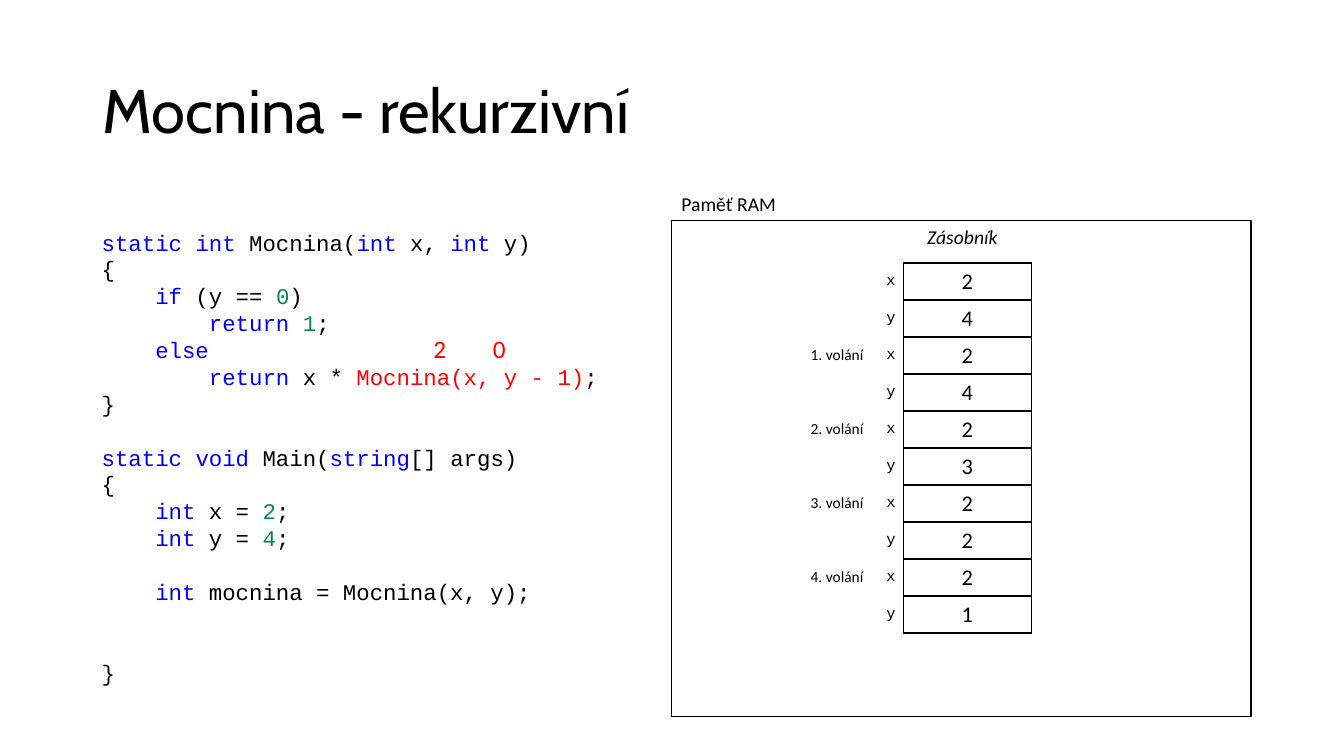
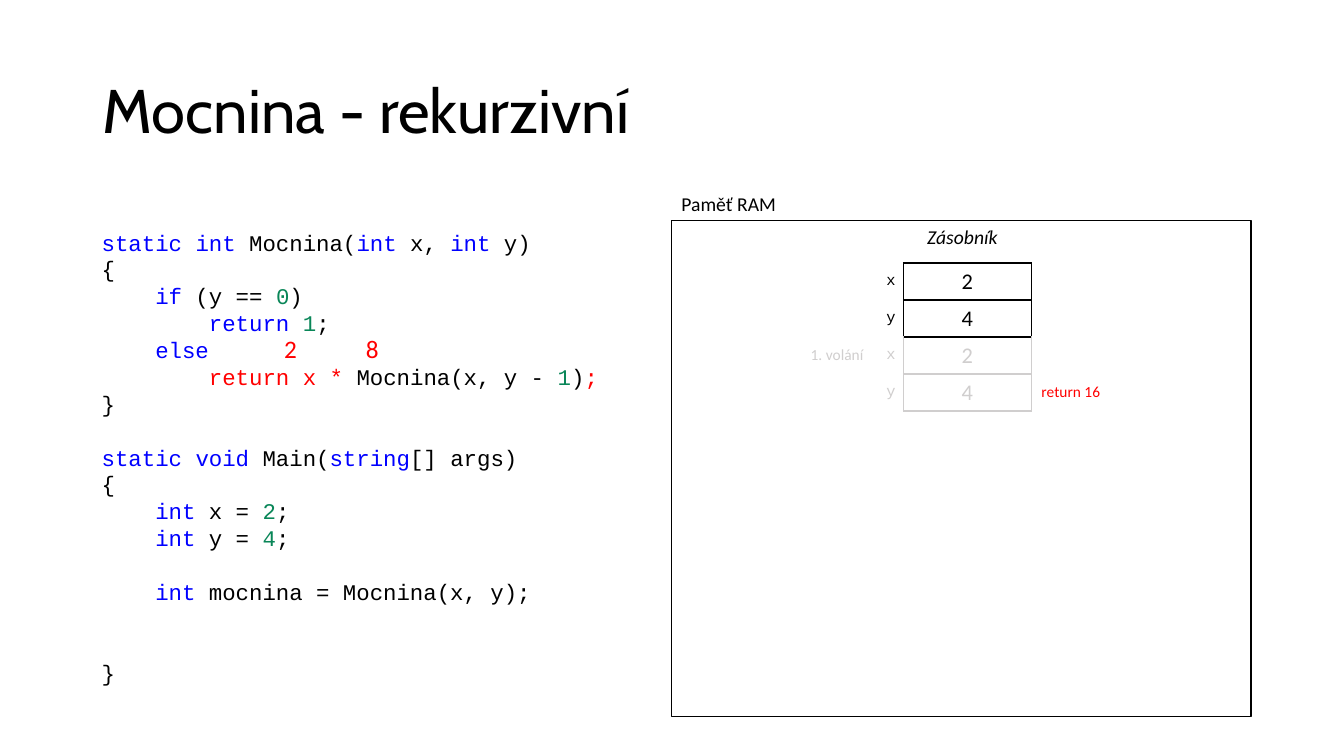
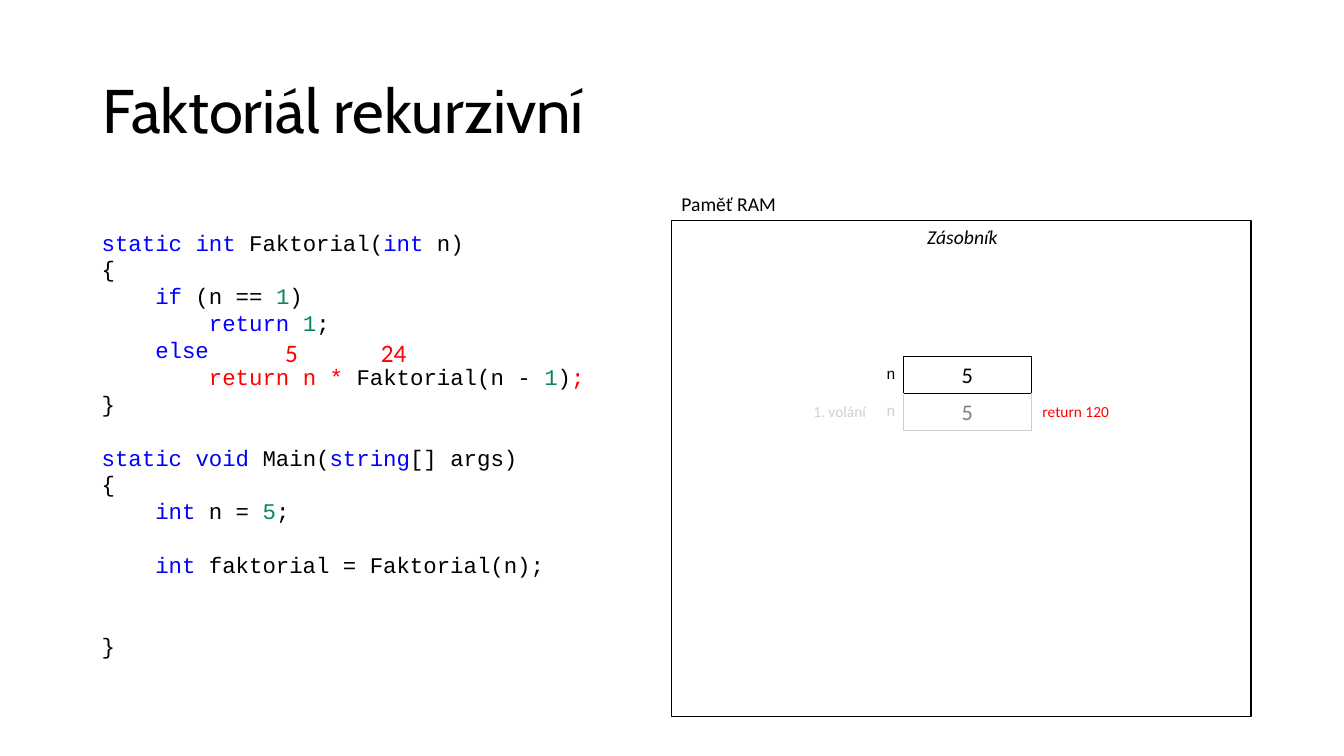
import itertools

import pptx
import pptx.dml.color
import pptx.enum.shapes
import pptx.enum.text
import pptx.oxml
import pptx.oxml.ns
import pptx.util
from pptx.util import Inches

COLORS = {
    "text": "000000",
    "background": "FFFFFF",
    "keyword": "0000FF",
    "number": "098658",
    "highlight": "FF0000",
    "faded": "D0CECE",
    "faded value": "808080",
}
KEYWORDS = {"static", "int", "void", "string", "if", "else", "return"}
NO_TABLE_STYLE = "{2D5ABB26-0587-4C30-8999-92F81FD0307C}"
ALIGN = pptx.enum.text.PP_ALIGN
MIDDLE = pptx.enum.text.MSO_ANCHOR.MIDDLE
CODE_LINE = 19.2
COLUMN_WIDTHS = (0.75, 0.27, 1.27, 0.88)
ROW_HEIGHT = 0.36

# Code between « and » is highlighted.
POWER_CODE = """static int Mocnina(int x, int y)
{
    if (y == 0)
        return 1;
    else
        %s
}

static void Main(string[] args)
{
    int x = 2;
    int y = 4;

    int mocnina = Mocnina(x, y);


}"""
FACTORIAL_CODE = """static int Faktorial(int n)
{
    if (n == 1)
        return 1;
    else
        «return n * »Faktorial(n - 1)«;»
}

static void Main(string[] args)
{
    int n = 5;

    int faktorial = Faktorial(n);


}"""

# Stack rows: call, variable, value, returned text, value colour (None while active).
# Notes: left, top, width, text.
SLIDES = [
    {
        "title": "Mocnina - rekurzivní",
        "code": POWER_CODE % "return x * «Mocnina(x, y - 1)»;",
        "stack top": 2.61,
        "stack": [
            ("", "x", "2", "", None),
            ("", "y", "4", "", None),
            ("1. volání", "x", "2", "", None),
            ("", "y", "4", "", None),
            ("2. volání", "x", "2", "", None),
            ("", "y", "3", "", None),
            ("3. volání", "x", "2", "", None),
            ("", "y", "2", "", None),
            ("4. volání", "x", "2", "", None),
            ("", "y", "1", "", None),
        ],
        "outer alignment": (ALIGN.LEFT, ALIGN.LEFT),
        "notes": [(4.79, 3.26, 0.4, "0"), (4.2, 3.26, 0.4, "2")],
    },
    {
        "title": "Mocnina - rekurzivní",
        "code": POWER_CODE % "«return x * »Mocnina(x, y - 1)«;»",
        "stack top": 2.61,
        "stack": [
            ("", "x", "2", "", None),
            ("", "y", "4", "", None),
            ("1. volání", "x", "2", "", "faded"),
            ("", "y", "4", "return 16", "faded"),
        ],
        "outer alignment": (ALIGN.LEFT, ALIGN.LEFT),
        "notes": [(3.53, 3.26, 0.4, "8"), (2.72, 3.26, 0.4, "2")],
    },
    {
        "title": "Faktoriál rekurzivní",
        "code": FACTORIAL_CODE,
        "stack top": 3.54,
        "stack": [
            ("", "n", "5", "", None),
            ("1. volání", "n", "5", "return 120", "faded value"),
        ],
        "outer alignment": (ALIGN.RIGHT, ALIGN.CENTER),
        "notes": [(3.68, 3.3, 0.53, "24"), (2.73, 3.3, 0.44, "5")],
    },
]


def write(frame, text, size, font="Calibri", color="text", align=ALIGN.LEFT):
    """Put one paragraph in a text frame and return it."""
    frame.word_wrap = True
    paragraph = frame.paragraphs[0]
    paragraph.text = text
    paragraph.alignment = align
    paragraph.font.size = pptx.util.Pt(size)
    paragraph.font.name = font
    paragraph.font.color.rgb = pptx.dml.color.RGBColor.from_string(COLORS[color])
    return paragraph


def add_border(cell, side, color):
    """Draw a 1 pt border; sides of a cell must come in the order L, R, T, B."""
    cell._tc.get_or_add_tcPr().append(pptx.oxml.parse_xml(
        f'<a:ln{side} {pptx.oxml.ns.nsdecls("a")} w="12700"><a:solidFill>'
        f'<a:srgbClr val="{COLORS[color]}"/></a:solidFill></a:ln{side}>'))


presentation = pptx.Presentation()
presentation.slide_width = Inches(13.33)
presentation.slide_height = Inches(7.5)

for content in SLIDES:
    slide = presentation.slides.add_slide(presentation.slide_layouts[6])
    shapes = slide.shapes

    title = shapes.add_textbox(Inches(0.92), Inches(0.4), Inches(11.5), Inches(1.45))
    title.text_frame.vertical_anchor = MIDDLE
    write(title.text_frame, content["title"], 44, "Cabin").line_spacing = 0.9

    memory = shapes.add_shape(pptx.enum.shapes.MSO_SHAPE.RECTANGLE,
                              Inches(6.66), Inches(2.19), Inches(5.75), Inches(4.92))
    memory.shadow.inherit = False
    memory.fill.solid()
    memory.fill.fore_color.rgb = pptx.dml.color.RGBColor.from_string(COLORS["background"])
    memory.line.color.rgb = pptx.dml.color.RGBColor.from_string(COLORS["text"])
    memory.line.width = pptx.util.Pt(1)

    memory_label = shapes.add_textbox(Inches(6.66), Inches(1.85), Inches(5.75), Inches(0.34))
    write(memory_label.text_frame, "Paměť RAM", 14)
    stack_label = shapes.add_textbox(Inches(6.67), Inches(2.18), Inches(5.75), Inches(0.34))
    write(stack_label.text_frame, "Zásobník", 14, align=ALIGN.CENTER).font.italic = True

    code_box = shapes.add_textbox(Inches(0.91), Inches(2.22), Inches(5.75), Inches(4.68))
    code_box.text_frame.word_wrap = True
    paragraph = code_box.text_frame.paragraphs[0]
    blank_lines = 0
    for number, line in enumerate(content["code"].split("\n")):
        if not line:
            blank_lines += 1
            continue
        if number:
            paragraph = code_box.text_frame.add_paragraph()
        paragraph.line_spacing = pptx.util.Pt(CODE_LINE)
        paragraph.space_before = pptx.util.Pt(CODE_LINE * blank_lines)
        blank_lines = 0
        paragraph.font.size = pptx.util.Pt(16)
        paragraph.font.name = "Courier New"
        for index, part in enumerate(line.replace("»", "«").split("«")):
            for _, letters in itertools.groupby(part, str.isalnum):
                token = "".join(letters)
                if index % 2:
                    color = "highlight"
                elif token in KEYWORDS:
                    color = "keyword"
                elif token.isdigit():
                    color = "number"
                else:
                    color = "text"
                run = paragraph.add_run()
                run.text = token
                run.font.color.rgb = pptx.dml.color.RGBColor.from_string(COLORS[color])

    rows = content["stack"]
    table = shapes.add_table(len(rows), len(COLUMN_WIDTHS), Inches(7.94),
                             Inches(content["stack top"]), Inches(sum(COLUMN_WIDTHS)),
                             Inches(ROW_HEIGHT * len(rows))).table
    table.first_row = table.horz_banding = False
    table._tbl.tblPr.find(pptx.oxml.ns.qn("a:tableStyleId")).text = NO_TABLE_STYLE
    for column, width in zip(table.columns, COLUMN_WIDTHS):
        column.width = Inches(width)

    call_align, return_align = content["outer alignment"]
    color_above = "text"
    for row, (call, variable, value, returned, value_color) in enumerate(rows):
        color = "faded" if value_color else "text"
        cells = [table.cell(row, column) for column in range(len(COLUMN_WIDTHS))]
        call_cell, variable_cell, value_cell, return_cell = cells
        write(call_cell.text_frame, call, 11, color=color, align=call_align)
        write(variable_cell.text_frame, variable, 11, "Courier New", color, ALIGN.RIGHT)
        write(value_cell.text_frame, value, 16, color=value_color or "text", align=ALIGN.CENTER)
        write(return_cell.text_frame, returned, 11, color="highlight", align=return_align)

        add_border(variable_cell, "R", color)
        for side, side_color in zip("LRTB", (color, color, color_above, color)):
            add_border(value_cell, side, side_color)
        add_border(return_cell, "L", color)
        color_above = color
        for cell in cells:
            cell.fill.background()
            if cell is not value_cell:
                cell.vertical_anchor = MIDDLE

    for left, top, width, text in content["notes"]:
        note = shapes.add_textbox(Inches(left), Inches(top), Inches(width), Inches(0.4))
        write(note.text_frame, text, 18, color="highlight")

presentation.save("out.pptx")
